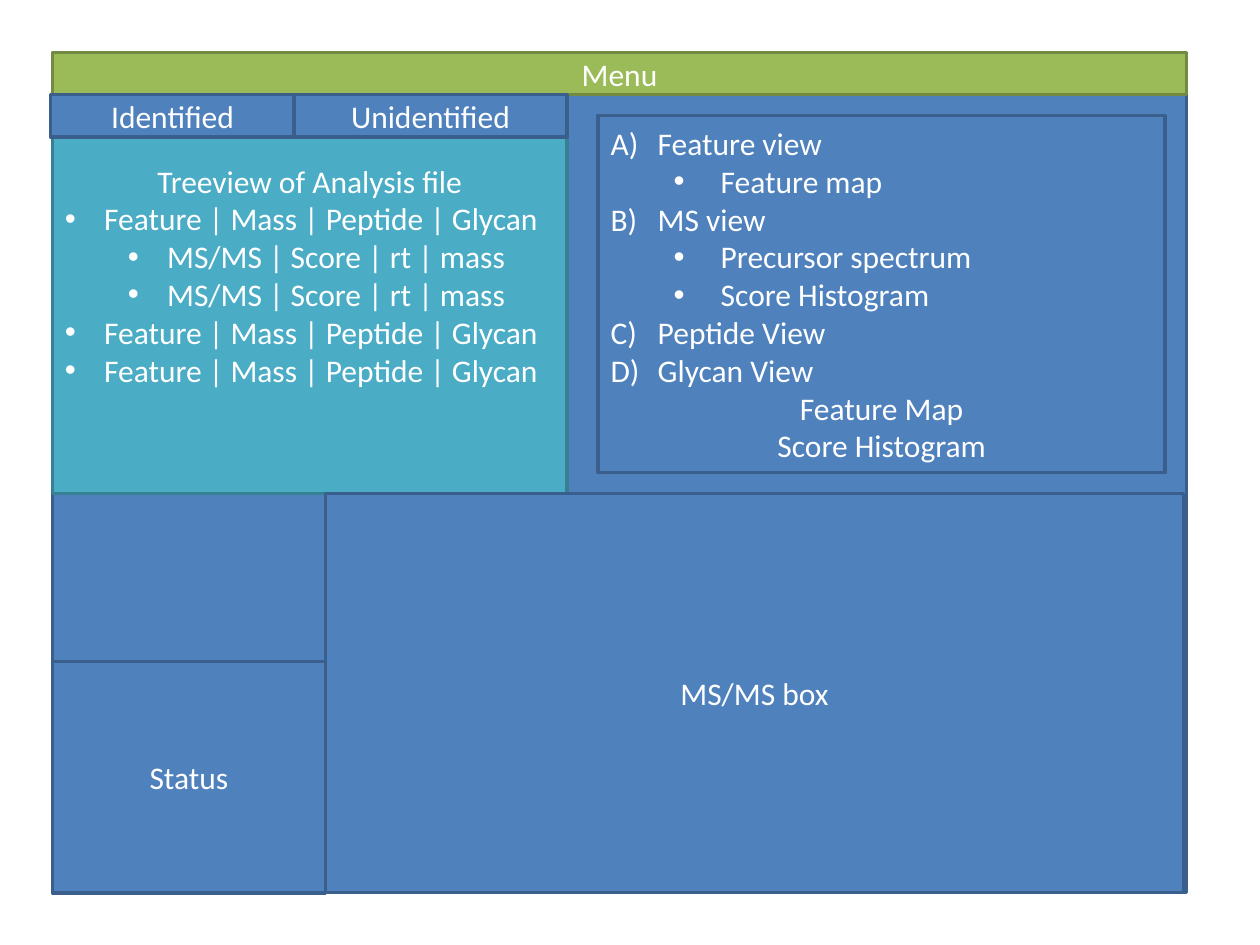
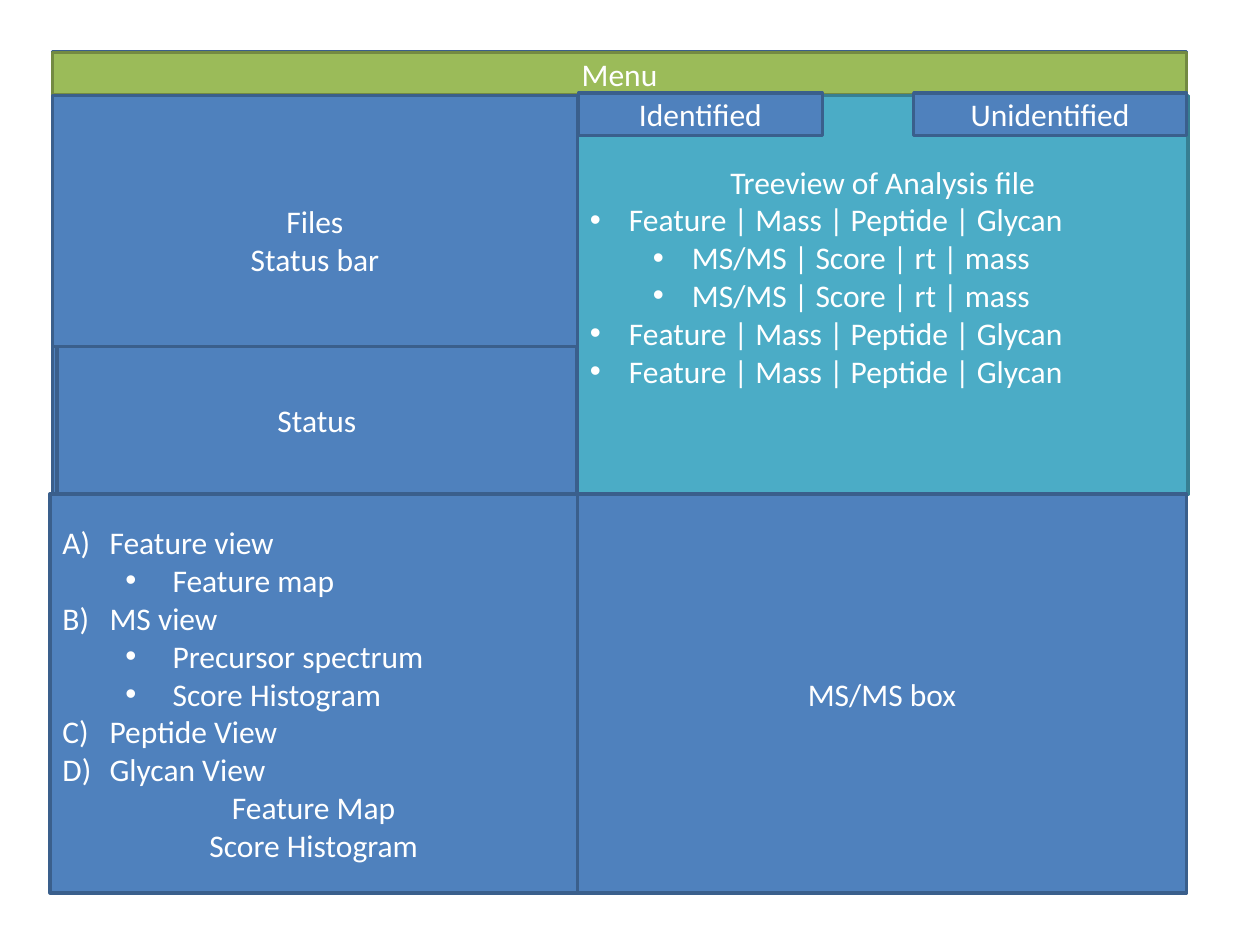
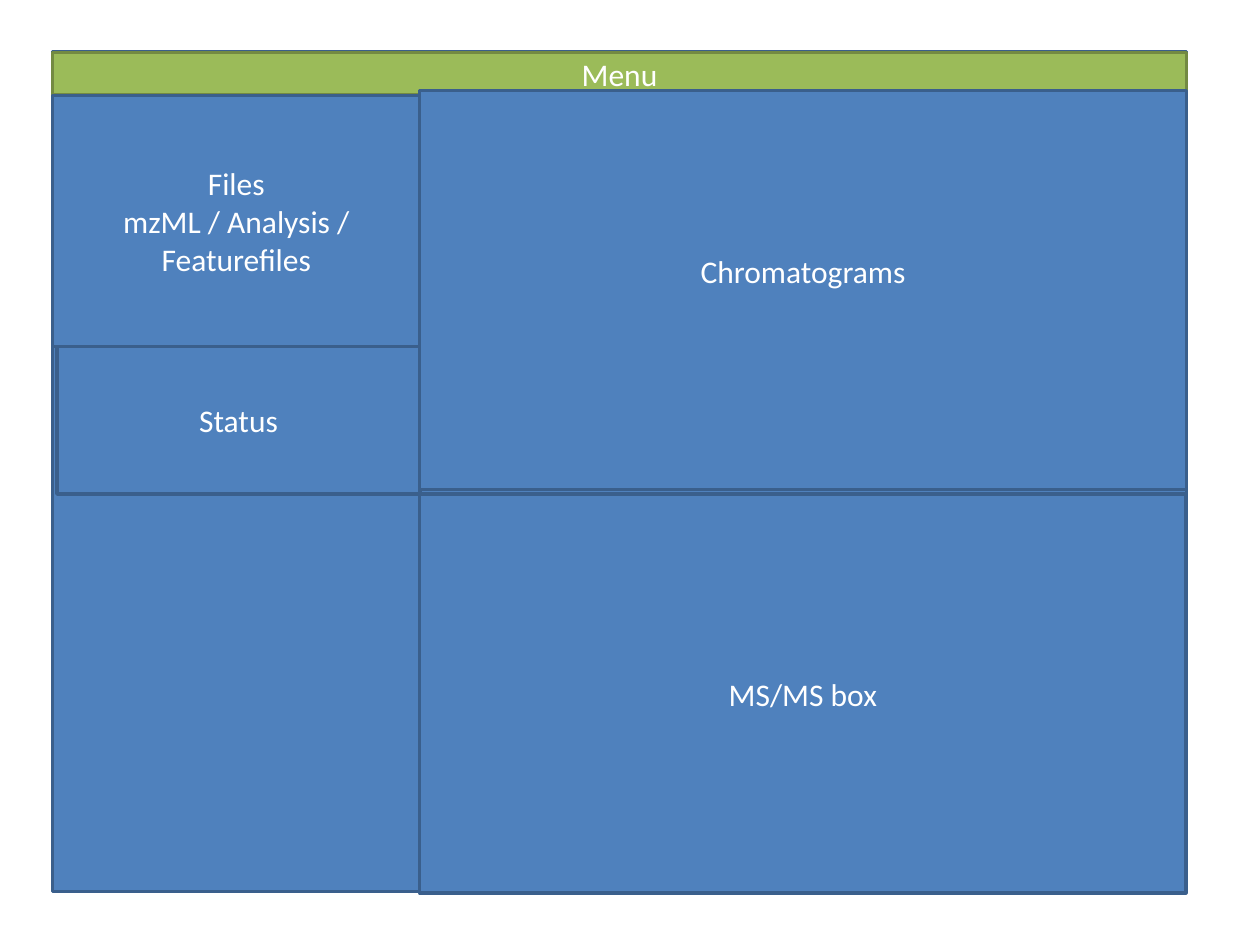
"""Build three window layouts for a mass spectrum viewer."""
from dataclasses import dataclass
from typing import NamedTuple

from lxml.etree import SubElement
from pptx import Presentation
from pptx.dml.color import RGBColor
from pptx.enum.shapes import MSO_SHAPE
from pptx.enum.text import MSO_ANCHOR, PP_ALIGN
from pptx.oxml.ns import qn
from pptx.slide import Slide
from pptx.util import Cm, Pt

HUES = {
    "blue": "4F81BD", "blue_edge": "3A5F8C",
    "green": "9BBB59", "green_edge": "738A42",
    "teal": "4BACC6", "teal_edge": "377F92",
    "white": "FFFFFF",
}
FONT = "Calibri"
LEFT, WIDE, TALL = 1.06, 22.86, 16.93
BAR, HALF, LINE = 0.85, 8.04, 0.77


class Row(NamedTuple):
    text: str
    mark: str = ""
    level: int = 0
    hang: float = 0


@dataclass
class Pane:
    left: float
    top: float
    width: float
    height: float
    rows: tuple[Row, ...] = ()
    hue: str = "blue"
    above: float = 0
    below: float = 0


def dot(text: str, level: int, hang: float) -> Row:
    """Return a bulleted row."""
    return Row(text, "dot", level, hang)


def letter(text: str) -> Row:
    """Return a lettered row."""
    return Row(text, "letter", 0, 0.95)


LEAF = dot("Feature | Mass | Peptide | Glycan", 0, 0.79)
SCAN = dot("MS/MS | Score | rt | mass", 1, 0.79)
TREE = (Row("Treeview of Analysis file"), LEAF, SCAN, SCAN, LEAF, LEAF)
VIEWS = (
    letter("Feature view"), dot("Feature map", 1, 0.95),
    letter("MS view"), dot("Precursor spectrum", 1, 0.95),
    dot("Score Histogram", 1, 0.95),
    letter("Peptide View"), letter("Glycan View"),
    Row("Feature Map"), Row("Score Histogram"),
)
FILES = Row("Files")
STATUS = (Row("Status"),)
SPECTRUM = (Row("MS/MS box"),)


def tree(left: float, top: float, width: float) -> Pane:
    """Return the tree pane."""
    return Pane(left, top, width, HALF, TREE, "teal", below=LINE)


def tabs(top: float, first: float, second: float) -> list[Pane]:
    """Return the two tabs above the tree."""
    return [Pane(first, top, 4.92, BAR, (Row("Identified"),)),
            Pane(second, top, 5.5, BAR, (Row("Unidentified"),))]


def write(frame, row: Row, first: bool) -> None:
    """Write one row of text as a paragraph."""
    para = frame.paragraphs[0] if first else frame.add_paragraph()
    para.alignment = PP_ALIGN.LEFT if row.mark else PP_ALIGN.CENTER
    para.level = row.level
    if row.mark:
        props = para._p.get_or_add_pPr()
        props.set("marL", str(Cm(row.hang + 1.27 * row.level)))
        props.set("indent", str(-Cm(row.hang)))
        if row.mark == "dot":
            SubElement(props, qn("a:buFont"), typeface="Arial")
            SubElement(props, qn("a:buChar"), char="•")
        else:
            SubElement(props, qn("a:buFont"), typeface="+mj-lt")
            SubElement(props, qn("a:buAutoNum"), type="alphaUcParenR")
    run = para.add_run()
    run.text = row.text
    run.font.name = FONT
    run.font.size = Pt(18)
    run.font.color.rgb = RGBColor.from_string(HUES["white"])


def draw(slide: Slide, pane: Pane) -> None:
    """Draw one pane with its text."""
    box = slide.shapes.add_shape(
        MSO_SHAPE.RECTANGLE, Cm(pane.left), Cm(pane.top), Cm(pane.width), Cm(pane.height))
    box.shadow.inherit = False
    box.fill.solid()
    box.fill.fore_color.rgb = RGBColor.from_string(HUES[pane.hue])
    box.line.color.rgb = RGBColor.from_string(HUES[pane.hue + "_edge"])
    box.line.width = Pt(2)
    frame = box.text_frame
    frame.word_wrap = True
    frame.vertical_anchor = MSO_ANCHOR.MIDDLE
    frame.margin_top = Cm(0.13 + pane.above)
    frame.margin_bottom = Cm(0.13 + pane.below)
    for place, row in enumerate(pane.rows):
        write(frame, row, place == 0)


def window(top: float) -> list[Pane]:
    """Return the window and menu that all slides share."""
    return [Pane(LEFT, top, WIDE, TALL),
            Pane(LEFT, 1.06, WIDE, BAR, (Row("Menu"),), "green")]


PAGES = [
    window(1.06) + [
        tree(LEFT, 1.91, 10.37),
        Pane(6.56, 9.95, 17.3, HALF, SPECTRUM),
        Pane(12.06, 2.33, 11.43, 7.2, VIEWS),
        Pane(LEFT, 13.34, 5.5, 4.66, STATUS),
        *tabs(1.91, 1.02, 5.93),
    ],
    window(1.04) + [
        tree(11.64, 1.93, 12.31),
        Pane(11.64, 9.96, 12.28, HALF, SPECTRUM),
        Pane(1.01, 9.96, 10.63, HALF, VIEWS),
        Pane(1.15, 6.99, 10.48, 2.97, STATUS),
        *tabs(1.88, 11.66, 18.42),
        Pane(LEFT, 1.93, 10.58, 5.06, (FILES, Row("Status bar")), above=LINE),
    ],
    window(1.04) + [
        Pane(8.46, 9.96, 15.45, HALF, SPECTRUM),
        Pane(1.15, 6.99, 7.32, 2.97, STATUS),
        Pane(LEFT, 1.93, 7.41, 5.06, (FILES, Row("mzML / Analysis / Featurefiles"))),
        Pane(8.46, 1.83, 15.46, HALF, (Row("Chromatograms"),), below=LINE),
    ],
]


def main() -> None:
    """Build and save the deck."""
    deck = Presentation()
    deck.slide_width, deck.slide_height = Cm(25.4), Cm(19.05)
    for page in PAGES:
        slide = deck.slides.add_slide(deck.slide_layouts[6])
        for pane in page:
            draw(slide, pane)
    deck.save("out.pptx")


if __name__ == "__main__":
    main()
